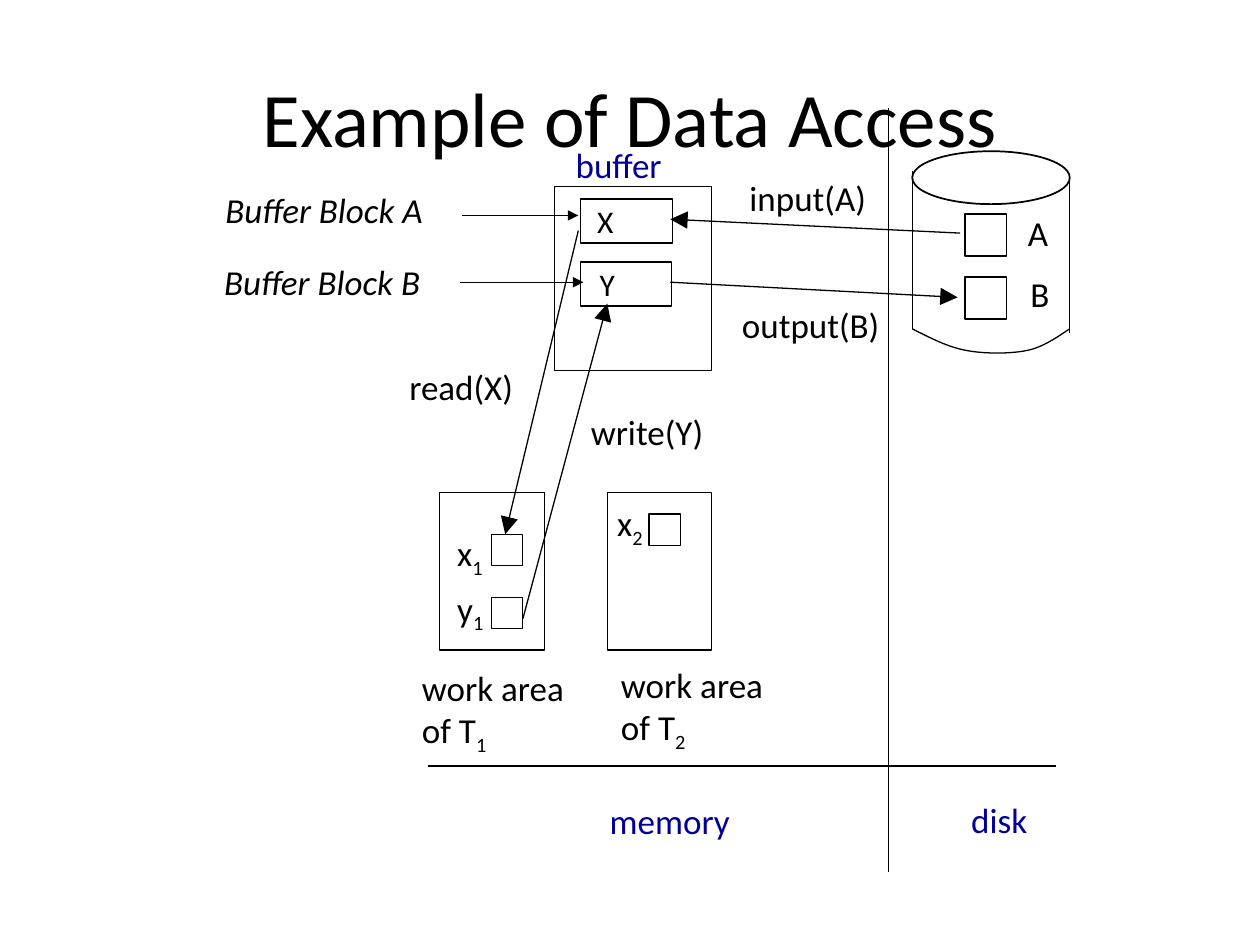
"""Build the slide that shows how data moves between disk, buffer and work areas."""

from typing import NamedTuple

from lxml.etree import SubElement
from pptx import Presentation
from pptx.dml.color import RGBColor
from pptx.enum.shapes import MSO_CONNECTOR, MSO_SHAPE
from pptx.enum.text import MSO_ANCHOR, PP_ALIGN
from pptx.oxml.ns import qn
from pptx.util import Emu, Pt

PX = 9144
BLACK = RGBColor(0x00, 0x00, 0x00)
NAVY = RGBColor(0x00, 0x00, 0x99)
FONT = "Calibri"


class Box(NamedTuple):
    left: int
    top: int
    width: int
    height: int
    kind: MSO_SHAPE = MSO_SHAPE.RECTANGLE
    weight: float = 0.75
    text: str = ""
    inset: int = 10


class Label(NamedTuple):
    left: int
    top: int
    width: int
    text: str
    color: RGBColor = BLACK
    italic: bool = False
    height: int = 43
    size: int = 20
    align: PP_ALIGN = PP_ALIGN.LEFT
    anchor: MSO_ANCHOR = MSO_ANCHOR.TOP


class Line(NamedTuple):
    start: tuple[int, int]
    end: tuple[int, int]
    head: str = ""


TITLE = Label(50, 30, 900, "Example of Data Access", height=125, size=44,
              align=PP_ALIGN.CENTER, anchor=MSO_ANCHOR.MIDDLE)

BUFFER = [
    Box(440, 148, 125, 146),
    Box(461, 158, 73, 35, text="X", inset=13),
    Box(461, 208, 72, 35, text="Y", inset=15),
]
DISK = [Box(724, 120, 125, 42, MSO_SHAPE.OVAL, 1)]
DISK += [Box(766, top, 33, 33, weight=1) for top in (170, 220)]
WORK_AREAS = [Box(left, 391, 83, 125) for left in (349, 482)]
VARIABLES = [Box(left, top, 25, 25) for left, top in ((515, 408), (390, 424), (390, 474))]

DISK_BASE = [
    ((724, 261), (738, 268), (751, 275), (766, 278)),
    ((766, 278), (781, 281), (802, 281), (816, 278)),
    ((816, 278), (830, 275), (844, 264), (849, 261)),
]

LINES = [
    Line((724, 136), (724, 261)),
    Line((849, 139), (849, 264)),
    Line((340, 608), (838, 608)),
    Line((705, 86), (705, 692)),
    Line((367, 171), (459, 171), "med"),
    Line((365, 224), (463, 224), "med"),
    Line((762, 185), (532, 174), "lg"),
    Line((532, 224), (760, 236), "lg"),
    Line((459, 183), (401, 424), "lg"),
    Line((415, 491), (482, 241), "lg"),
]

LABELS = [
    Label(806, 163, 39, "A"),
    Label(808, 211, 39, "B"),
    Label(353, 417, 44, "x_1"),
    Label(353, 461, 49, "y_1"),
    Label(480, 393, 44, "x_2"),
    Label(447, 109, 91, "buffer", NAVY),
    Label(761, 629, 70, "disk", NAVY),
    Label(474, 630, 120, "memory", NAVY),
    Label(169, 145, 204, "Buffer Block A", italic=True),
    Label(168, 202, 196, "Buffer Block B", italic=True),
    Label(585, 135, 117, "input(A)"),
    Label(579, 236, 142, "output(B)"),
    Label(315, 285, 113, "read(X)"),
    Label(459, 321, 115, "write(Y)"),
    Label(325, 524, 150, "work area\nof T_1", height=77),
    Label(483, 522, 141, "work area\nof T_2", height=77),
]


def px(*lengths: int) -> list[Emu]:
    return [Emu(length * PX) for length in lengths]


def style_outline(shape, weight: float = 0.75) -> None:
    shape.shadow.inherit = False
    shape.fill.background()
    shape.line.color.rgb = BLACK
    shape.line.width = Pt(weight)


def write_text(frame, text: str, size: int, color: RGBColor = BLACK,
               italic: bool = False, align: PP_ALIGN = PP_ALIGN.LEFT) -> None:
    """Write lines of text, where an underscore starts a subscript."""
    for index, line in enumerate(text.split("\n")):
        para = frame.add_paragraph() if index else frame.paragraphs[0]
        para.alignment = align
        para.font.name = FONT
        para.font.size = Pt(size)
        para.font.italic = italic
        para.font.color.rgb = color
        base, _, subscript = line.partition("_")
        para.add_run().text = base
        if subscript:
            span = para.add_run()
            span.text = subscript
            span.font._element.set("baseline", "-25000")


def draw_box(page, box: Box) -> None:
    shape = page.shapes.add_shape(box.kind, *px(box.left, box.top, box.width, box.height))
    style_outline(shape, box.weight)
    if box.text:
        frame = shape.text_frame
        frame.margin_left = Emu(box.inset * PX)
        frame.vertical_anchor = MSO_ANCHOR.MIDDLE
        write_text(frame, box.text, 18)


def draw_label(page, label: Label) -> None:
    shape = page.shapes.add_textbox(*px(label.left, label.top, label.width, label.height))
    frame = shape.text_frame
    frame.word_wrap = True
    frame.vertical_anchor = label.anchor
    write_text(frame, label.text, label.size, label.color, label.italic, label.align)


def draw_line(page, line: Line) -> None:
    connector = page.shapes.add_connector(MSO_CONNECTOR.STRAIGHT, *px(*line.start, *line.end))
    connector.line.color.rgb = BLACK
    connector.line.width = Pt(0.75)
    if line.head:
        SubElement(connector.line._get_or_add_ln(), qn("a:tailEnd"),
                   type="triangle", w=line.head, len=line.head)
    SubElement(connector._element.spPr, qn("a:effectLst"))


def curve_point(curve: tuple, t: float) -> tuple[int, int]:
    """Return the point at t on a cubic curve, in EMU."""
    weights = ((1 - t) ** 3, 3 * t * (1 - t) ** 2, 3 * t * t * (1 - t), t ** 3)
    x, y = (sum(w * value for w, value in zip(weights, axis)) for axis in zip(*curve))
    return round(x * PX), round(y * PX)


def draw_disk_base(page, steps: int = 10) -> None:
    points = [curve_point(curve, step / steps)
              for curve in DISK_BASE for step in range(1, steps + 1)]
    builder = page.shapes.build_freeform(*px(*DISK_BASE[0][0]))
    builder.add_line_segments(points, close=False)
    style_outline(builder.convert_to_shape())


def main() -> None:
    deck = Presentation()
    deck.slide_width, deck.slide_height = px(1000, 750)
    page = deck.slides.add_slide(deck.slide_layouts[6])
    draw_label(page, TITLE)
    for box in BUFFER + DISK + WORK_AREAS + VARIABLES:
        draw_box(page, box)
    draw_disk_base(page)
    for line in LINES:
        draw_line(page, line)
    for label in LABELS:
        draw_label(page, label)
    deck.save("out.pptx")


if __name__ == "__main__":
    main()
